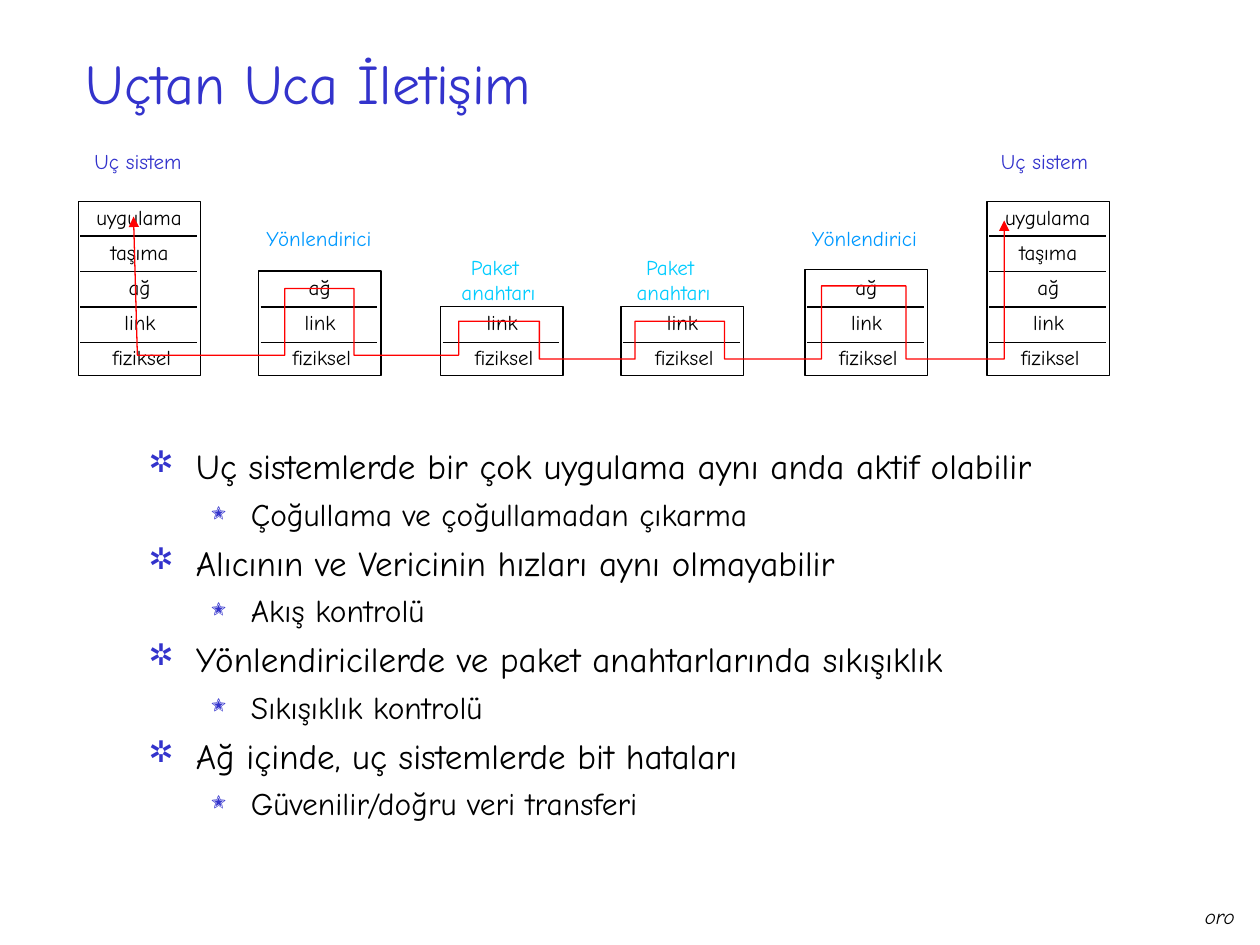
from lxml import etree
from pptx import Presentation
from pptx import util as u
from pptx.dml.color import RGBColor
from pptx.enum import shapes, text
from pptx.oxml.ns import qn

FONT, BULLET_FONT = "Comic Neue", "ZapfDingbats"
BLACK, INDIGO, BLUE, CYAN, RED = "000000", "3333CC", "0099FF", "00CCFF", "FF0000"
Pt = u.Pt

LAYERS = ["fiziksel", "link", "ağ", "taşıma", "uygulama"]  # bottom to top
LAYER_WIDTHS = [48.5, 32.4, 27, 48, 63.6]
LAYER_CENTRES = [36.2, 35.2, 35, 35, 34.7]
NODE_WIDTH, NODE_BOTTOM, ROW = 70, 214.6, 20.3
TEXT_HEIGHT = 21.6

# left, top, layer count, caption lines, caption box, caption colour
NODES = [
    (44.8, 115.2, 5, ["Uç sistem"], (46.8, 81.4, 64, 21.6), INDIGO),
    (564, 115.2, 5, ["Uç sistem"], (564.8, 81.4, 64, 21.6), INDIGO),
    (147.7, 154.9, 3, ["Yönlendirici"], (144.8, 125.3, 75, 21.6), BLUE),
    (460, 154.1, 3, ["Yönlendirici"], (456.5, 125.3, 75, 21.6), BLUE),
    (251.8, 175, 2, ["Paket ", "anahtarı"], (256.3, 141.8, 57, 36), CYAN),
    (354.8, 175, 2, ["Paket ", "anahtarı"], (356.4, 141.8, 57, 36), CYAN),
]

# entry x, exit x, peak y, ground y before, ground y after
HOPS = [
    (162.7, 202.3, 164.9, 203, 203),
    (262.1, 308.2, 183.6, 203, 205.2),
    (362.9, 414, 183.6, 205.2, 205.2),
    (469.4, 517.7, 163.4, 205.2, 205.2),
]

TOPICS = [
    ("Uç sistemlerde bir çok uygulama aynı anda aktif olabilir",
     "Çoğullama ve çoğullamadan çıkarma"),
    ("Alıcının ve Vericinin hızları aynı olmayabilir", "Akış kontrolü"),
    ("Yönlendiricilerde ve paket anahtarlarında sıkışıklık", "Sıkışıklık kontrolü"),
    ("Ağ içinde, uç sistemlerde bit hataları", "Güvenilir/doğru veri transferi"),
]

# bullet, its size in percent, left margin, hanging indent, text size, space before
LEVELS = [("❒", 85, 27, 27, 20, 5), ("❍", 75, 58.5, 22.5, 18, 4.5)]


def color(value):
    return RGBColor.from_string(value)


def add_box(page, box, wrap=True):
    frame = page.shapes.add_textbox(*map(Pt, box)).text_frame
    frame.word_wrap = wrap
    return frame


def add_span(para, words, size, ink, italic=None):
    span = para.add_run()
    span.text = words
    span.font.name, span.font.size = FONT, Pt(size)
    span.font.italic = italic
    span.font.color.rgb = color(ink)


def add_label(page, box, lines, ink=BLACK, italic=None):
    """Small centred text that does not wrap and sizes its own box."""
    frame = add_box(page, box, wrap=False)
    frame.auto_size = text.MSO_AUTO_SIZE.SHAPE_TO_FIT_TEXT
    for index, line in enumerate(lines):
        para = frame.add_paragraph() if index else frame.paragraphs[0]
        para.alignment = text.PP_ALIGN.CENTER
        add_span(para, line, 12, ink, italic)


def add_title(page, box, words):
    frame = add_box(page, box)
    frame.vertical_anchor = text.MSO_ANCHOR.MIDDLE
    add_span(frame.paragraphs[0], words, 32, INDIGO)


def add_divider(page, left, top, width):
    line = page.shapes.add_connector(
        shapes.MSO_CONNECTOR.STRAIGHT, Pt(left), Pt(top), Pt(left + width), Pt(top))
    line.line.color.rgb = color(BLACK)
    line.line.width = Pt(0.75)
    etree.SubElement(line._element.spPr, qn("a:effectLst"))


def add_node(page, box, count):
    """Protocol stack with its rows counted from the bottom up."""
    left, top, width, height = box
    frame = page.shapes.add_shape(shapes.MSO_SHAPE.RECTANGLE, *map(Pt, box))
    frame.shadow.inherit = False
    frame.fill.background()
    frame.line.color.rgb = color(BLACK)
    frame.line.width = Pt(0.75)
    bottom = top + height
    for row in range(1, count):
        add_divider(page, left + 1.2, bottom + 1.5 - row * ROW, width - 3.4)
    for row in range(count):
        label_width = LAYER_WIDTHS[row]
        label_left = left + LAYER_CENTRES[row] - label_width / 2
        label_top = bottom - 21.1 - row * 20.1
        add_label(page, (label_left, label_top, label_width, TEXT_HEIGHT), [LAYERS[row]])


def add_route(page, start, end):
    """Data path from the first application layer to the last one."""
    points = [(start[0] + 2.2, HOPS[0][3])]
    for enter, leave, peak, before, after in HOPS:
        points += [(enter, before), (enter, peak), (leave, peak), (leave, after)]
    points += [(end[0], HOPS[-1][4]), end]
    builder = page.shapes.build_freeform(Pt(start[0]), Pt(start[1]))
    builder.add_line_segments([(Pt(x), Pt(y)) for x, y in points], close=False)
    route = builder.convert_to_shape()
    route.shadow.inherit = False
    route.fill.background()
    route.line.color.rgb = color(RED)
    route.line.width = Pt(0.75)
    for tag in ("a:headEnd", "a:tailEnd"):
        etree.SubElement(route.line._get_or_add_ln(), qn(tag), type="triangle")


def set_bullet(para, level):
    sign, percent, margin, hanging, _, _ = LEVELS[level]
    props = para._p.get_or_add_pPr()
    props.set("marL", str(Pt(margin)))
    props.set("indent", str(-Pt(hanging)))
    ink = etree.SubElement(props, qn("a:buClr"))
    etree.SubElement(ink, qn("a:srgbClr"), val=INDIGO)
    etree.SubElement(props, qn("a:buSzPct"), val=str(percent * 1000))
    etree.SubElement(props, qn("a:buFont"), typeface=BULLET_FONT)
    etree.SubElement(props, qn("a:buChar"), char=sign)


def add_topics(page, box):
    frame = add_box(page, box)
    lines = [(level, words) for topic in TOPICS for level, words in enumerate(topic)]
    for index, (level, words) in enumerate(lines):
        para = frame.add_paragraph() if index else frame.paragraphs[0]
        para.level = level
        set_bullet(para, level)
        size, gap = LEVELS[level][4:]
        para.space_before = Pt(gap if index else 0)
        add_span(para, words, size, BLACK)


def main():
    deck = Presentation()
    deck.slide_width, deck.slide_height = Pt(720), Pt(540)
    page = deck.slides.add_slide(deck.slide_layouts[6])
    add_label(page, (681, 512.6, 32, TEXT_HEIGHT), ["oro"], italic=True)
    add_title(page, (41.8, 18, 612, 57.6), "Uçtan Uca İletişim")
    add_topics(page, (77.8, 250.6, 566, 238.3))
    for left, top, count, *_ in NODES:
        add_node(page, (left, top, NODE_WIDTH, NODE_BOTTOM - top), count)
    add_route(page, (76.3, 123.8), (573.8, 126))
    for *_, lines, box, ink in NODES:
        add_label(page, box, lines, ink)
    deck.save("out.pptx")


if __name__ == "__main__":
    main()
